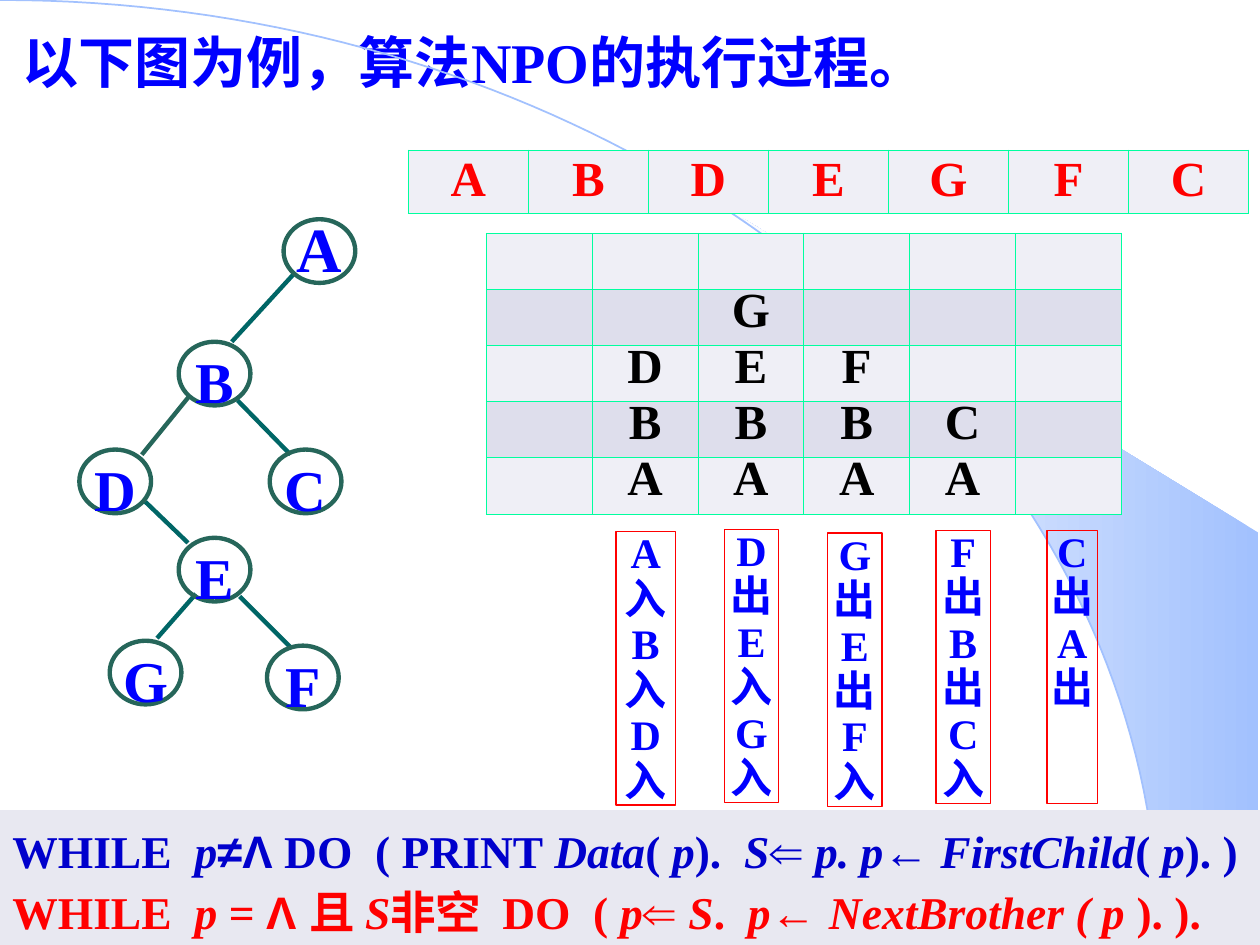
from lxml import etree
from pptx import Presentation
from pptx.dml.color import RGBColor
from pptx.enum.shapes import MSO_CONNECTOR, MSO_SHAPE
from pptx.enum.text import MSO_ANCHOR, PP_ALIGN
from pptx.oxml.ns import qn
from pptx.util import Inches, Pt

OVAL, RECT = MSO_SHAPE.OVAL, MSO_SHAPE.RECTANGLE
LINE = MSO_CONNECTOR.STRAIGHT
TOP, MID = MSO_ANCHOR.TOP, MSO_ANCHOR.MIDDLE
LEFT, MIDDLE = PP_ALIGN.LEFT, PP_ALIGN.CENTER
WIDE, HIGH = Inches(10), Inches(7.5)
UNIT = WIDE // 10
SERIF, SANS = "Times New Roman", "Arial"
BLUE, RED, SKY = "0000FF", "FF0000", "A2C1FE"

OUTPUT = ["ABDEGFC"]
STACK = ["      ", "  G   ", " DEF  ", " BBBC ", " AAAA "]
NODES = {"A": (.74, 0), "B": (.36, .25), "D": (0, .47), "C": (.69, .47),
         "E": (.36, .65), "F": (.68, .87), "G": (.11, .86)}
EDGES = [("A", .15, .85, "B", .74, 0, "006666"),
         ("B", .15, .85, "D", .87, .08, "26665A"),
         ("B", .82, .92, "C", .29, .08, "006666"),
         ("D", .92, .82, "E", .13, .08, "006666"),
         ("E", .24, .88, "G", .66, -.04, "006666"),
         ("E", .85, .92, "F", .34, .04, "006666")]
STEPS = [((4.89, 4.22, .47, 2.17), "A\n入B入\nD入"),
         ((5.75, 4.2, .43, 2.17), "D\n出E\n入\nG入"),
         ((6.57, 4.23, .43, 2.17), "G\n出E\n出F入"),
         ((7.43, 4.21, .43, 2.17), "F\n出B\n出C入"),
         ((8.31, 4.21, .4, 2.17), "C\n出A\n出")]
CODE = [("0000CC", [("WHILE  ", ""), ("p", "i"), ("≠Λ", "a"),
                    (" DO  ( PRINT ", ""), ("Data", "i"), ("( ", ""),
                    ("p", "i"), (").  ", ""), ("S", "i"), ("⇐ ", "a"),
                    ("p. p", "i"), ("←", "a"), (" FirstChild", "i"),
                    ("( ", ""), ("p", "i"), ("). )", "")]),
        (RED, [("WHILE  ", ""), ("p", "i"), (" = ", ""), ("Λ ", "a"),
               ("且 ", ""), ("S", "i"), ("非空  DO  ( ", ""), ("p", "i"),
               ("⇐ ", "a"), ("S", "i"), (".  ", ""), ("p", "i"),
               ("← ", "a"), ("NextBrother ( p", "i"), (" ). ).", "")])]


def hue(code):
    """Turn a hex string into a colour."""
    return RGBColor.from_string(code)


def grid(*cols):
    """Turn grid units, ten to the slide's width, into lengths."""
    return [round(n * UNIT) for n in cols]


def style(run, size, tint, face=SERIF):
    """Give a run its bold face, size and colour."""
    font = run.font
    font.name, font.size, font.bold = face, Pt(size), True
    font.color.rgb = hue(tint)


def write(frame, text, size, tint, align=MIDDLE, lead=None):
    """Fill a frame with text in one style."""
    frame.text = text
    for para in frame.paragraphs:
        para.alignment = align
        if lead:
            para.line_spacing = Pt(lead)
        for run in para.runs:
            style(run, size, tint)


def panel(slide, kind, box, fill=None, line=None, width=1.0):
    """Add a flat preset shape."""
    shape = slide.shapes.add_shape(kind, *grid(*box))
    paint(shape, fill, line, width)
    return shape


def paint(shape, fill=None, line=None, width=1.0):
    """Set a shape's fill and line, and drop its shadow."""
    shape.shadow.inherit = False
    shape.fill.background()
    if fill:
        shape.fill.solid()
        shape.fill.fore_color.rgb = hue(fill)
    shape.line.fill.background()
    if line:
        shape.line.color.rgb = hue(line)
        shape.line.width = Pt(width)


def trace(slide, points, close):
    """Add a freeform through points given in grid units."""
    spots = [grid(*point) for point in points]
    pen = slide.shapes.build_freeform(*spots[0], scale=1.0)
    pen.add_line_segments(spots[1:], close=close)
    return pen.convert_to_shape()


def sweep(slide, box):
    """Draw the large arc and the shaded band on its outer side."""
    left, top, wide, high = box
    curve = []
    for step in range(81):
        t = step / 80
        u = 1 - t
        curve.append((left + wide * (3 * u * u * t * .55 + 3 * u * t * t + t ** 3),
                      top + high * (3 * u * t * t * .45 + t ** 3)))
    rim = [point for point in curve if point[0] > 5.89]
    band = trace(slide, [(5.89, 1.73)] + rim + [(9.99, 7.49), (9.99, 4.23)], True)
    paint(band)
    band.fill.gradient()
    band.fill.gradient_angle = 180
    for stop, tint in zip(band.fill.gradient_stops, (SKY, "FEFEFE")):
        stop.color.rgb = hue(tint)
    paint(trace(slide, curve, False), line=SKY)


def heading(slide, box):
    """Place the title."""
    title = slide.shapes.title
    title.left, title.top, title.width, title.height = grid(*box)
    frame = title.text_frame
    frame.word_wrap, frame.vertical_anchor = True, TOP
    write(frame, "以下图为例，算法NPO的执行过程。", 32, BLUE, LEFT)


def edge(cell, tint):
    """Draw the four borders of a table cell."""
    props = cell._tc.get_or_add_tcPr()
    for spot, side in enumerate("LRTB"):
        line = etree.Element(qn("a:ln" + side), w=str(Pt(.45)))
        fill = etree.SubElement(line, qn("a:solidFill"))
        etree.SubElement(fill, qn("a:srgbClr"), val=tint)
        props.insert(spot, line)


def table(slide, box, rows, tint, lead, anchor):
    """Add a banded table with one letter to a cell."""
    body = slide.shapes.add_table(len(rows), len(rows[0]), *grid(*box)).table
    body.first_row = False
    for r, row in enumerate(rows):
        for c, mark in enumerate(row):
            cell = body.cell(r, c)
            cell.vertical_anchor = anchor
            cell.fill.solid()
            cell.fill.fore_color.rgb = hue(("EFEFF6", "DEDEEC")[r % 2])
            edge(cell, "00FF9F")
            if mark.strip():
                write(cell.text_frame, mark, 28, tint, lead=lead)


def tree(slide, box):
    """Draw the binary tree, its nodes set as shares of the box."""
    left, top, wide, high = box
    w, h = .26 * wide, .13 * high
    spots = {key: (left + x * wide, top + y * high) for key, (x, y) in NODES.items()}
    for head, hx, hy, tail, tx, ty, tint in EDGES:
        (ax, ay), (bx, by) = spots[head], spots[tail]
        ends = grid(ax + hx * w, ay + hy * h, bx + tx * w, by + ty * h)
        link = slide.shapes.add_connector(LINE, *ends)
        link.line.color.rgb, link.line.width = hue(tint), Pt(2.5)
        etree.SubElement(link._element.spPr, qn("a:effectLst"))
    for key, (x, y) in spots.items():
        root = key == "A"
        frame = panel(slide, OVAL, (x, y, w, h), line="26665A", width=2.5).text_frame
        inset(frame, 0 if root else Pt(8.2))
        frame.word_wrap, frame.vertical_anchor = False, MID
        write(frame, key, 36 if root else 33, BLUE, lead=39 if root else None)


def inset(frame, top=0):
    """Clear a frame's margins, save for the top one."""
    frame.margin_left = frame.margin_right = frame.margin_bottom = 0
    frame.margin_top = top


def step(slide, box, text):
    """Add one narrow box of push and pop steps."""
    frame = panel(slide, RECT, box, line=RED, width=.75).text_frame
    inset(frame)
    frame.word_wrap, frame.vertical_anchor = True, TOP
    write(frame, text, 24, BLUE, lead=26)


def code(slide, box):
    """Add the bar with the two loops of the algorithm."""
    frame = panel(slide, RECT, box, fill="E8E8F1").text_frame
    frame.word_wrap, frame.vertical_anchor = True, TOP
    for spot, (tint, parts) in enumerate(CODE):
        para = frame.add_paragraph() if spot else frame.paragraphs[0]
        para.alignment, para.line_spacing = LEFT, Pt(35)
        props = para._p.get_or_add_pPr()
        props.set("marL", str(Inches(.75)))
        props.set("indent", str(-Inches(.75)))
        for text, kind in parts:
            run = para.add_run()
            run.text = text
            style(run, 26, tint, SANS if kind == "a" else SERIF)
            run.font.italic = kind == "i"


def main():
    """Build the slide and save it."""
    deck = Presentation()
    deck.slide_width, deck.slide_height = WIDE, HIGH
    slide = deck.slides.add_slide(deck.slide_layouts[5])
    sweep(slide, (0, 0, 9.2, 7.49))
    heading(slide, (.08, .17, 7.17, 1.17))
    table(slide, (3.24, 1.19, 6.67, .5), OUTPUT, RED, 29, MID)
    code(slide, (0, 6.43, 10, 1.07))
    tree(slide, (.63, 1.74, 2.19, 3.89))
    table(slide, (3.86, 1.85, 5.04, 2.23), STACK, "000000", 24, TOP)
    for box, text in STEPS:
        step(slide, box, text)
    deck.save("out.pptx")


if __name__ == "__main__":
    main()
